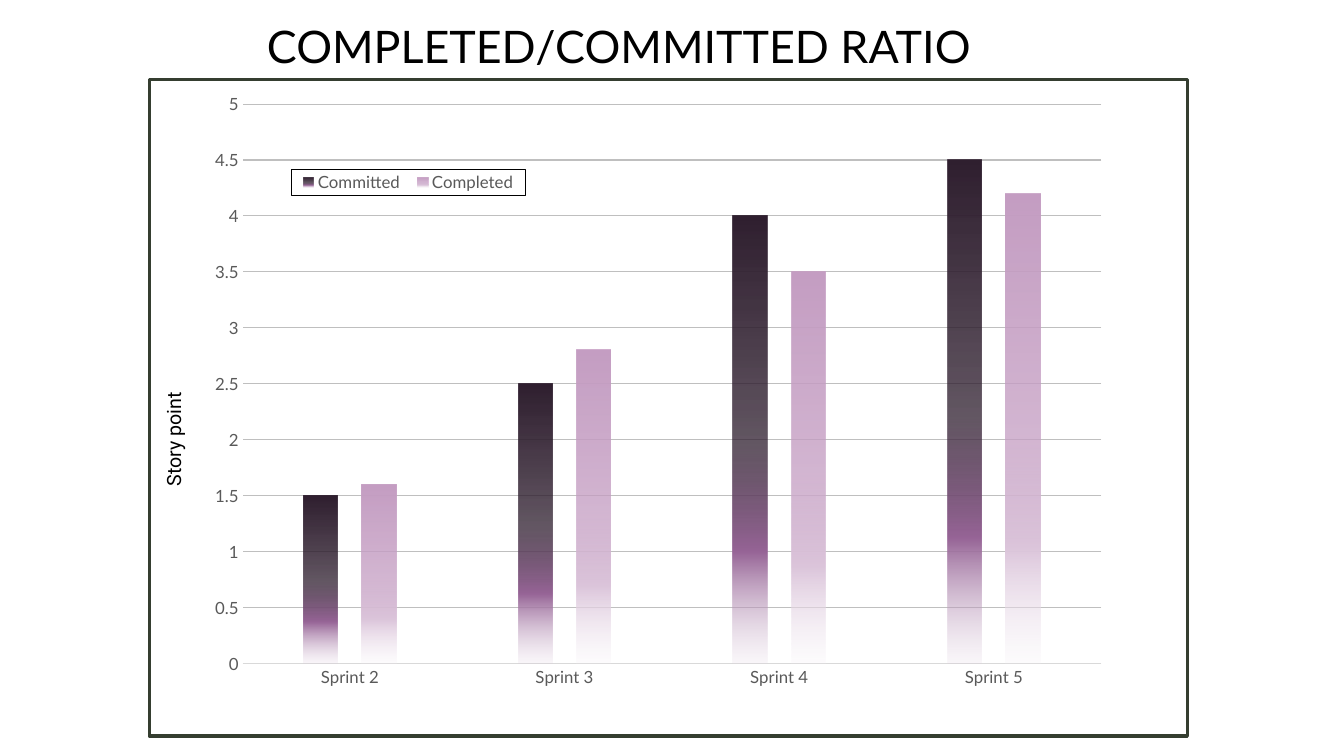
from lxml.etree import SubElement
from pptx import Presentation
from pptx.chart.data import CategoryChartData
from pptx.dml.color import RGBColor
from pptx.enum.chart import XL_CHART_TYPE, XL_LEGEND_POSITION, XL_TICK_MARK
from pptx.enum.shapes import MSO_SHAPE
from pptx.enum.text import MSO_AUTO_SIZE
from pptx.oxml import parse_xml
from pptx.oxml.ns import nsdecls, qn
from pptx.util import Pt

HUES = {"back": "FFFFFF", "ink": "000000", "frame": "353E30",
        "label": "595959", "axis": "D9D9D9", "grid": "BFBFBF"}

# Gradient stops: position, colour, opacity (all in percent)
FADES = {
    "Committed": [(0, "302030", 100), (51, "302030", 75),
                  (75, "976597", 100), (100, "DDCBDD", 15)],
    "Completed": [(0, "C59EC3", 100), (51, "C59EC3", 75),
                  (75, "DCC5DB", 100), (100, "F3ECF3", 15)],
}
POINTS = {"Committed": (1.5, 2.5, 4, 4.5), "Completed": (1.6, 2.8, 3.5, 4.2)}
SPRINTS = [f"Sprint {n}" for n in range(2, 6)]


def set_font(font, size, hue, face):
    font.size, font.name, font.bold = Pt(size), face, False
    font.color.rgb = RGBColor.from_string(HUES[hue])


def set_line(line, hue, width):
    line.color.rgb = RGBColor.from_string(HUES[hue])
    line.width = Pt(width)


def layout(x, y, w, h, inner=False):
    root = parse_xml(f"<c:layout {nsdecls('c')}><c:manualLayout/></c:layout>")
    tags = [("layoutTarget", "inner")] if inner else []
    tags += [("xMode", "edge"), ("yMode", "edge"),
             ("x", x), ("y", y), ("w", w), ("h", h)]
    for tag, val in tags:
        SubElement(root[0], qn(f"c:{tag}")).set("val", str(val))
    return root


def fade(stops):
    marks = "".join(
        f'<a:gs pos="{pos * 1000}"><a:srgbClr val="{hue}">'
        f'<a:alpha val="{alpha * 1000}"/></a:srgbClr></a:gs>'
        for pos, hue, alpha in stops)
    return parse_xml(f"<a:gradFill {nsdecls('a')}><a:gsLst>{marks}</a:gsLst>"
                     '<a:lin ang="5400000" scaled="0"/></a:gradFill>')


class Deck:
    def __init__(self, face="Lato"):
        self.face = face
        self.show = Presentation()
        self.show.slide_width, self.show.slide_height = Pt(960), Pt(540)
        self.slide = self.show.slides.add_slide(self.show.slide_layouts[6])
        fill = self.slide.background.fill
        fill.solid()
        fill.fore_color.rgb = RGBColor.from_string(HUES["back"])

    def text(self, words, x, y, w, h, size=14, hue="ink", face=None, turn=0):
        box = self.slide.shapes.add_textbox(Pt(x), Pt(y), Pt(w), Pt(h))
        box.rotation = turn
        frame = box.text_frame
        frame.word_wrap = True
        frame.auto_size = MSO_AUTO_SIZE.SHAPE_TO_FIT_TEXT
        run = frame.paragraphs[0].add_run()
        run.text = words
        set_font(run.font, size, hue, face or self.face)

    def frame(self, x, y, w, h, hue, width):
        box = self.slide.shapes.add_shape(
            MSO_SHAPE.RECTANGLE, Pt(x), Pt(y), Pt(w), Pt(h))
        box.shadow.inherit = False
        box.fill.background()
        set_line(box.line, hue, width)

    def bars(self, x, y, w, h, cats, data):
        source = CategoryChartData()
        source.categories = cats
        for name, vals in data.items():
            source.add_series(name, vals)
        chart = self.slide.shapes.add_chart(
            XL_CHART_TYPE.COLUMN_CLUSTERED, Pt(x), Pt(y), Pt(w), Pt(h),
            source).chart
        chart.has_title = False
        set_font(chart.font, 10, "ink", self.face)

        # Columns
        plot = chart.plots[0]
        plot.gap_width, plot.overlap = 355, -70
        plot.vary_by_categories = False
        for series in plot.series:
            series.format.fill.background()
            blank = series._element.spPr.find(qn("a:noFill"))
            blank.getparent().replace(blank, fade(FADES[series.name]))
            series.format.line.fill.background()

        # Axes
        cat, val = chart.category_axis, chart.value_axis
        for axis in (cat, val):
            axis.major_tick_mark = axis.minor_tick_mark = XL_TICK_MARK.NONE
            set_font(axis.tick_labels.font, 12, "label", self.face)
        set_line(cat.format.line, "axis", 0.75)
        val.format.line.fill.background()
        val.minimum_scale, val.maximum_scale, val.major_unit = 0, 5, 0.5
        set_line(val.major_gridlines.format.line, "grid", 0.75)

        # Plot area
        area = chart._chartSpace.chart.plotArea
        for old in area.findall(qn("c:layout")):
            area.remove(old)
        area.insert(0, layout(0.04, 0.03, 0.88, 0.86, inner=True))

        # Legend
        chart.has_legend = True
        key = chart.legend
        key.position = XL_LEGEND_POSITION.BOTTOM
        key.include_in_layout = False
        set_font(key.font, 12, "label", self.face)
        over = key._element.find(qn("c:overlay"))
        over.addprevious(layout(0.09, 0.13, 0.24, 0.04))
        over.addnext(parse_xml(
            f"<c:spPr {nsdecls('c', 'a')}><a:noFill/><a:ln w=\"9525\">"
            f"<a:solidFill><a:srgbClr val=\"{HUES['ink']}\"/></a:solidFill>"
            "</a:ln></c:spPr>"))


def main():
    deck = Deck()
    # Title
    deck.text("COMPLETED/COMMITTED RATIO", 183.6, 10, 568, 46, size=32)
    # Framed chart
    deck.frame(106.6, 57, 741.6, 468.7, "frame", 2.25)
    deck.bars(145.4, 60.5, 697, 464.4, SPRINTS, POINTS)
    # Axis label
    deck.text("Story point", 82, 300.2, 84.2, 24.5, face="Roboto", turn=270)
    deck.show.save("out.pptx")


if __name__ == "__main__":
    main()
